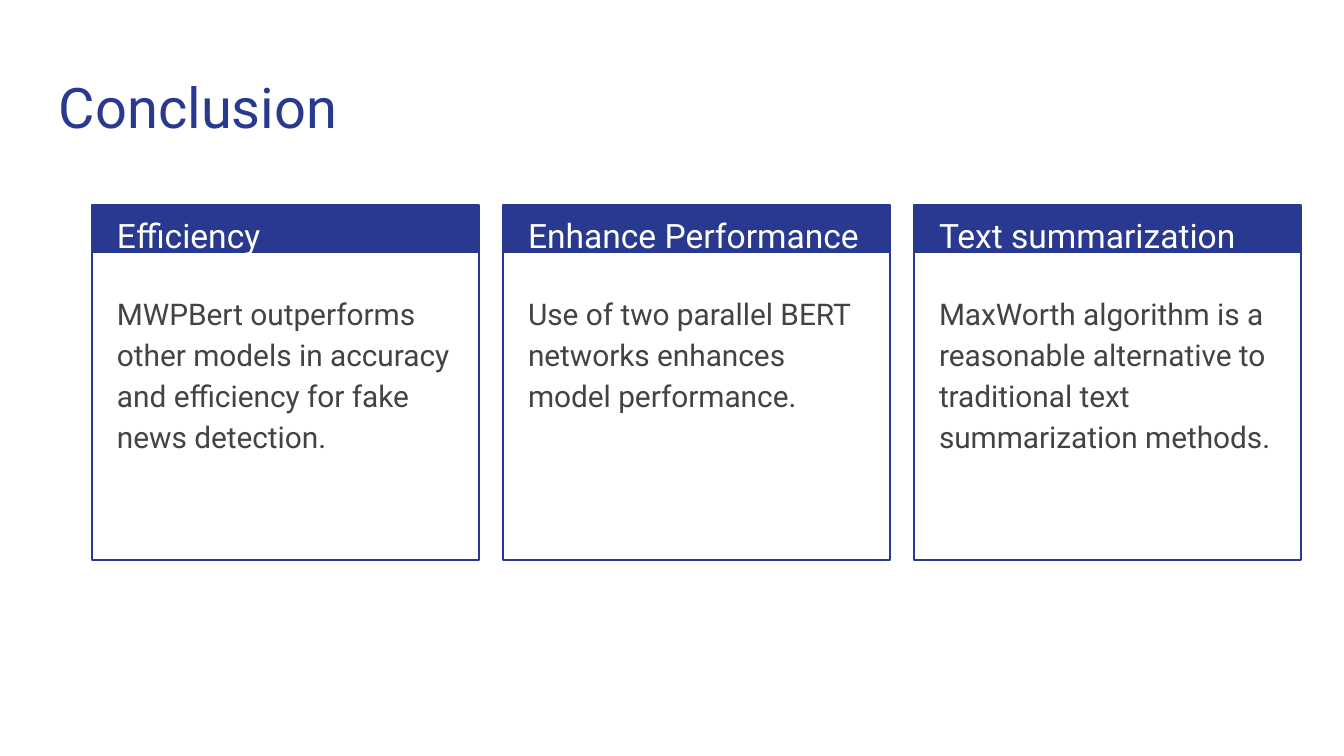
import pptx
import pptx.util
import pptx.dml.color
import pptx.enum.shapes
import pptx.enum.text

TITLE = "Conclusion"
CARDS = [
    ("Efficiency",
     "MWPBert outperforms other models in accuracy and efficiency for fake news detection."),
    ("Enhance Performance",
     "Use of two parallel BERT networks enhances model performance."),
    ("Text summarization",
     "MaxWorth algorithm is a reasonable alternative to traditional text summarization methods."),
]
COLORS = {"navy": "2A3990", "white": "FFFFFF", "body": "434343"}
FONT = "Roboto"
PX = 914400 / 134.4
INSET = 13

CARD_LEFT, CARD_TOP = 92, 205
CARD_WIDTH, CARD_HEIGHT, HEADER_HEIGHT = 387, 355, 48
CARD_STEP = 411
TEXT_OFFSET, TEXT_WIDTH = 12, 366


def px(value):
    return pptx.util.Emu(round(value * PX))


def color(name):
    return pptx.dml.color.RGBColor.from_string(COLORS[name])


def write(shape, text, size, color_name, line_spacing=1.0):
    frame = shape.text_frame
    frame.text = text
    frame.word_wrap = True
    frame.auto_size = pptx.enum.text.MSO_AUTO_SIZE.NONE
    frame.vertical_anchor = pptx.enum.text.MSO_ANCHOR.TOP
    frame.margin_left = frame.margin_right = px(INSET)
    frame.margin_top = frame.margin_bottom = px(INSET)
    paragraph = frame.paragraphs[0]
    paragraph.alignment = pptx.enum.text.PP_ALIGN.LEFT
    paragraph.line_spacing = line_spacing
    paragraph.space_before = pptx.util.Pt(0)
    font = paragraph.runs[0].font
    font.name = FONT
    font.size = pptx.util.Pt(size)
    font.color.rgb = color(color_name)


def add_rectangle(slide, left, top, width, height):
    shape = slide.shapes.add_shape(
        pptx.enum.shapes.MSO_SHAPE.RECTANGLE, px(left), px(top), px(width), px(height))
    shape.shadow.inherit = False
    return shape


def add_text(slide, left, top, width, height, *style):
    box = slide.shapes.add_textbox(px(left), px(top), px(width), px(height))
    write(box, *style)


def add_card(slide, left, heading, body):
    header = add_rectangle(slide, left, CARD_TOP, CARD_WIDTH, HEADER_HEIGHT)
    header.fill.solid()
    header.fill.fore_color.rgb = color("navy")
    header.line.fill.background()

    border = add_rectangle(slide, left, CARD_TOP, CARD_WIDTH, CARD_HEIGHT)
    border.fill.background()
    border.line.color.rgb = color("navy")
    border.line.width = pptx.util.Pt(0.75)

    text_left = left + TEXT_OFFSET
    add_text(slide, text_left, 196, TEXT_WIDTH, 67, heading, 18, "white", 1.15)
    add_text(slide, text_left, 277, TEXT_WIDTH, 181, body, 16, "body", 1.15)


def main():
    presentation = pptx.Presentation()
    presentation.slide_width, presentation.slide_height = px(1344), px(756)
    slide = presentation.slides.add_slide(presentation.slide_layouts[5])
    slide.background.fill.solid()
    slide.background.fill.fore_color.rgb = color("white")

    title = slide.shapes.title
    title.left, title.top, title.width, title.height = px(46), px(60), px(1252), px(89)
    write(title, TITLE, 30, "navy")

    for index, (heading, body) in enumerate(CARDS):
        add_card(slide, CARD_LEFT + index * CARD_STEP, heading, body)

    presentation.save("out.pptx")


if __name__ == "__main__":
    main()
